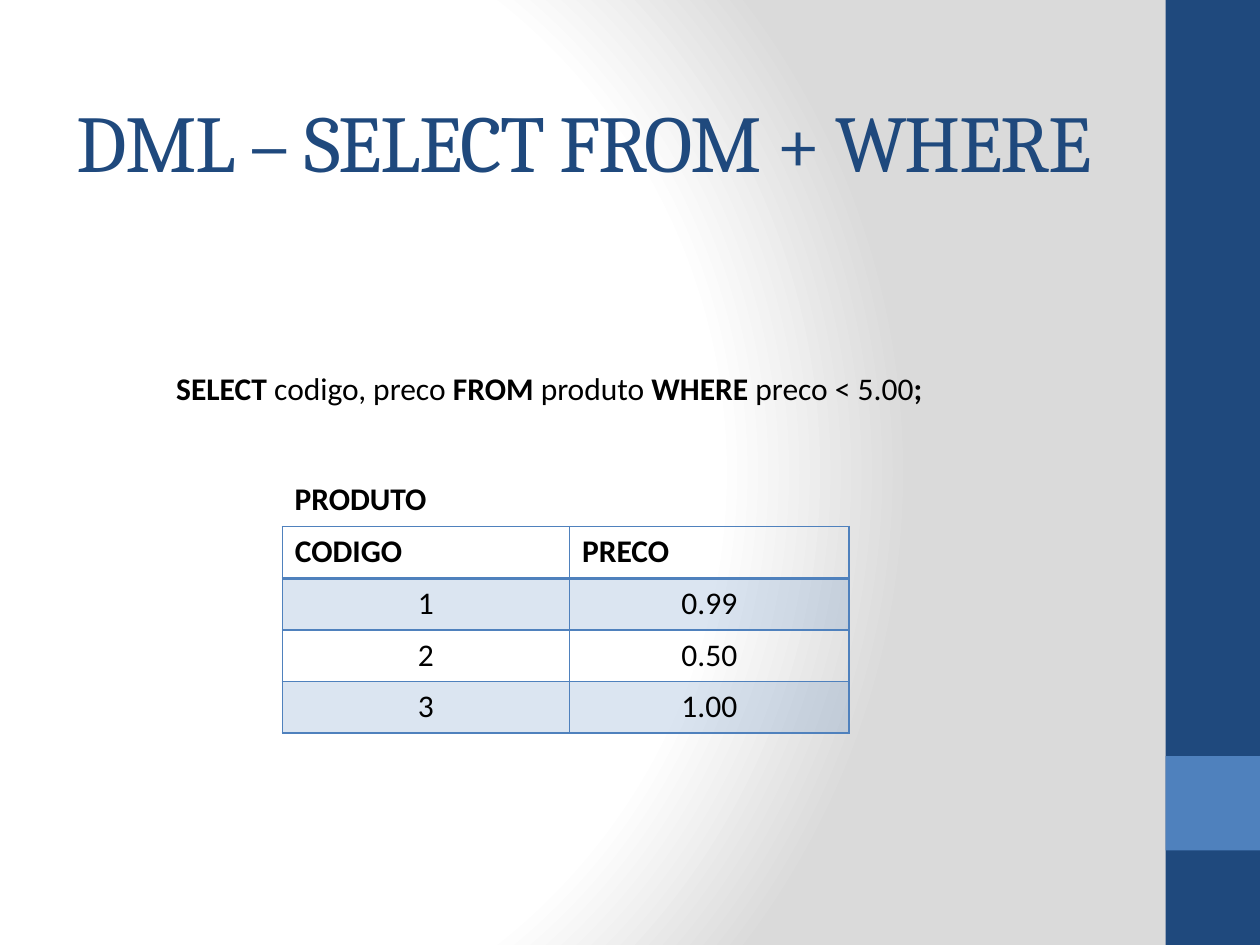
from dataclasses import dataclass
from lxml.etree import SubElement
from pptx import Presentation
from pptx.dml.color import RGBColor as Rgb
from pptx.enum.shapes import MSO_SHAPE as Kind
from pptx.enum.text import MSO_ANCHOR as Anchor, PP_ALIGN as Align
from pptx.oxml import parse_xml
from pptx.oxml.ns import nsdecls, qn
from pptx.slide import Slide
from pptx.table import _Cell as Cell
from pptx.text.text import _Run as Run
from pptx.util import Inches, Pt


@dataclass(frozen=True)
class Theme:
    navy: str = "1F497D"
    blue: str = "4F81BD"
    black: str = "000000"
    white: str = "FFFFFF"
    grey: str = "DADADA"
    head: str = "Cambria"
    body: str = "Calibri"
    big: int = 46
    text: int = 18


@dataclass(frozen=True)
class Bar:
    top: float
    high: float
    fill: str


@dataclass(frozen=True)
class Label:
    left: float
    top: float
    wide: float
    words: tuple[tuple[str, bool], ...]
    align: Align = Align.LEFT


THEME = Theme()
BARS = (Bar(0, 7.5, THEME.navy), Bar(6, 0.75, THEME.blue))
LABELS = (
    Label(2.24, 3.75, 3.43, (("PRODUTO", True),), Align.JUSTIFY),
    Label(1.3, 2.88, 6.38, (
        ("SELECT ", True), ("codigo, preco ", False), ("FROM ", True),
        ("produto", False), (" WHERE ", True), ("preco < 5.00", False),
        (";", True))),
)
ROWS = (("CODIGO", "PRECO"), ("1", "0.99"), ("2", "0.50"), ("3", "1.00"))
COLS = (2.28, 2.22)
ROW = 0.41


def style(run: Run, bold: bool = False, face: str = THEME.body,
          size: int = THEME.text, color: str = THEME.black) -> None:
    font = run.font
    font.name, font.size, font.bold = face, Pt(size), bold
    font.color.rgb = Rgb.from_string(color)


def paint(slide: Slide) -> None:
    stops = ((0, THEME.white), (75, THEME.white), (100, THEME.grey))
    marks = "".join(f'<a:gs pos="{pos * 1000}"><a:srgbClr val="{color}"/></a:gs>'
                    for pos, color in stops)
    slide.element.cSld.insert(0, parse_xml(
        f'<p:bg {nsdecls("p", "a")}><p:bgPr><a:gradFill rotWithShape="1">'
        f'<a:gsLst>{marks}</a:gsLst><a:path path="circle">'
        '<a:fillToRect l="20000" t="50000" r="100000" b="50000"/></a:path>'
        '</a:gradFill><a:effectLst/></p:bgPr></p:bg>'))


def add_bar(slide: Slide, bar: Bar) -> None:
    shape = slide.shapes.add_shape(
        Kind.RECTANGLE, Inches(9.25), Inches(bar.top),
        Inches(0.75), Inches(bar.high))
    shape.shadow.inherit = False
    shape.fill.solid()
    shape.fill.fore_color.rgb = Rgb.from_string(bar.fill)
    shape.line.fill.background()


def add_label(slide: Slide, label: Label) -> None:
    box = slide.shapes.add_textbox(
        Inches(label.left), Inches(label.top), Inches(label.wide), Inches(0.4))
    box.text_frame.word_wrap = True
    para = box.text_frame.paragraphs[0]
    para.alignment = label.align
    for text, bold in label.words:
        run = para.add_run()
        run.text = text
        style(run, bold)


def edge(cell: Cell, head: bool, below: bool) -> None:
    props = cell._tc.get_or_add_tcPr()
    widths = {"L": 1, "R": 1, "T": 2 if below else 1, "B": 2 if head else 1}
    for spot, (side, width) in enumerate(widths.items()):
        props.insert(spot, parse_xml(
            f'<a:ln{side} {nsdecls("a")} w="{Pt(width)}"><a:solidFill>'
            f'<a:srgbClr val="{THEME.blue}"/></a:solidFill></a:ln{side}>'))


def fill_cell(cell: Cell, text: str, row: int) -> None:
    head = row == 0
    cell.text = text
    para = cell.text_frame.paragraphs[0]
    para.alignment = Align.LEFT if head else Align.CENTER
    style(para.runs[0], head)
    if row % 2:
        cell.fill.solid()
        cell.fill.fore_color.rgb = Rgb.from_string(THEME.blue)
        color = cell._tc.tcPr.find(".//" + qn("a:srgbClr"))
        SubElement(color, qn("a:alpha"), val="20000")
    else:
        cell.fill.background()
    edge(cell, head, row == 1)


def add_grid(slide: Slide) -> None:
    table = slide.shapes.add_table(
        len(ROWS), len(COLS), Inches(2.24), Inches(4.18),
        Inches(sum(COLS)), Inches(ROW * len(ROWS))).table
    table.first_row = table.horz_banding = False
    for col, wide in zip(table.columns, COLS):
        col.width = Inches(wide)
    for i, texts in enumerate(ROWS):
        table.rows[i].height = Inches(ROW)
        for j, text in enumerate(texts):
            fill_cell(table.cell(i, j), text, i)


def set_title(slide: Slide, text: str) -> None:
    title = slide.shapes.title
    title.left, title.top = Inches(0.51), Inches(0.68)
    title.width, title.height = Inches(8.33), Inches(1.25)
    frame = title.text_frame
    frame.text = text
    frame.vertical_anchor = Anchor.TOP
    para = frame.paragraphs[0]
    para.alignment = Align.LEFT
    run = para.runs[0]
    style(run, face=THEME.head, size=THEME.big, color=THEME.navy)
    run.font._element.set("spc", "-100")


# Page and background
deck = Presentation()
deck.slide_width, deck.slide_height = Inches(10), Inches(7.5)
page = deck.slides.add_slide(deck.slide_layouts[5])
paint(page)

# Side bars
for bar in BARS:
    add_bar(page, bar)

# Table, query and title
add_grid(page)
for label in LABELS:
    add_label(page, label)
set_title(page, "DML – SELECT FROM + WHERE")

deck.save("out.pptx")
